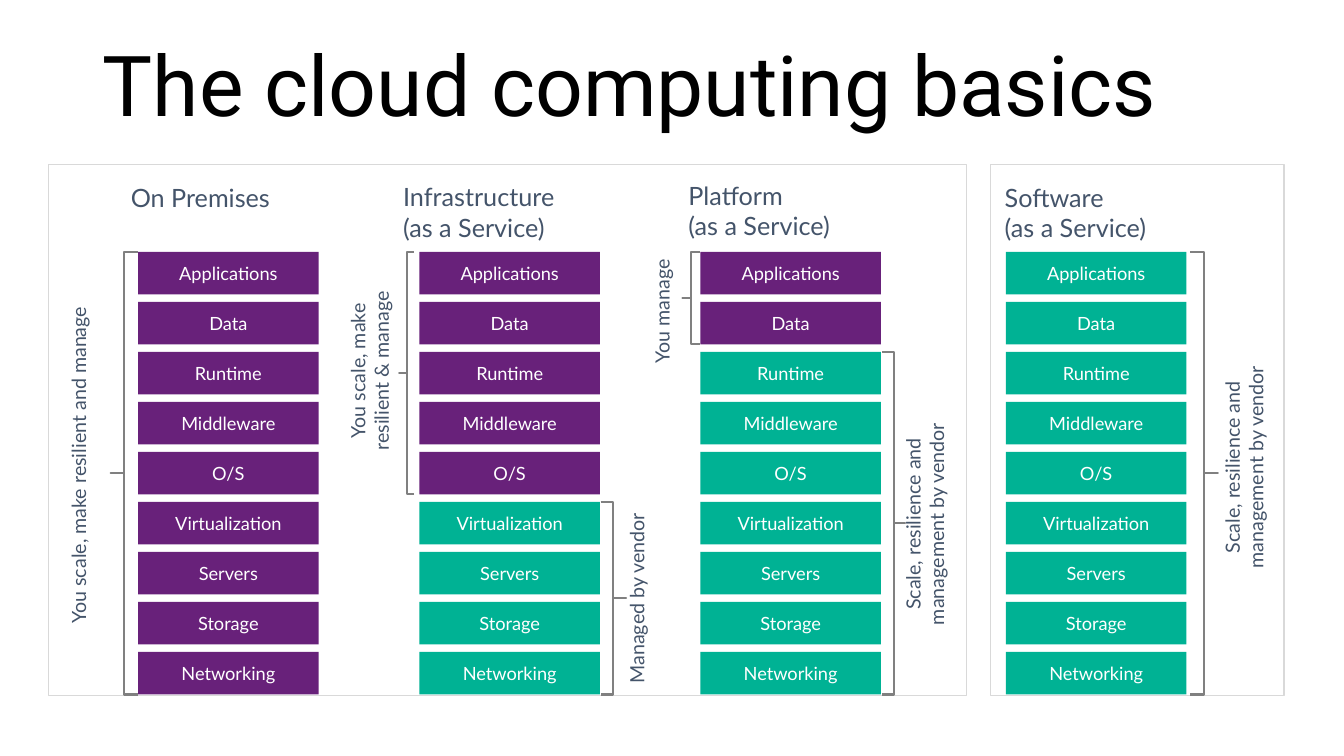
from dataclasses import dataclass

from pptx import Presentation
from pptx.dml.color import RGBColor
from pptx.enum.shapes import MSO_SHAPE as Preset
from pptx.enum.text import MSO_ANCHOR as Anchor, MSO_AUTO_SIZE as AutoSize, PP_ALIGN as Align
from pptx.util import Cm, Pt

PURPLE, GREEN, SLATE = "68217A", "00B294", "44546A"
PALE_GREY, BRACE_GREY, WHITE, BLACK = "D9D9D9", "808080", "FFFFFF", "000000"
LAYERS = ["Applications", "Data", "Runtime", "Middleware", "O/S",
          "Virtualization", "Servers", "Storage", "Networking"]
COLUMN_TOP = 6.35
BLOCK_WIDTH, BLOCK_HEIGHT, PITCH = 4.55, 1.07, 1.26
GAP = PITCH - BLOCK_HEIGHT
PANELS = [(1.22, 4.14, 23.14, 13.39), (24.97, 4.14, 7.39, 13.39)]


@dataclass
class Span:
    first: int
    count: int
    brace_offset: float
    brace_width: float
    label_offset: float
    label_shift: float
    label_length: float
    lines: list
    on_right: bool = False


@dataclass
class Column:
    left: float
    heading: list
    heading_offset: float
    heading_rise: float
    heading_width: float
    managed: int
    spans: list
    heading_align: Align = Align.LEFT


VENDOR_LINES = ["Scale, resilience and", "management by vendor"]
COLUMNS = [
    Column(3.48, ["On Premises"], -1.02, 1.75, 5.18, 9, [
        Span(0, 9, -0.69, 0.69, -1.93, -0.2, 8.43,
             ["You scale, make resilient and manage"]),
    ], Align.CENTER),
    Column(10.57, ["Infrastructure", "(as a Service)"], -0.41, 1.77, 7.21, 5, [
        Span(0, 5, -0.51, 0.38, -1.98, -0.06, 4.42,
             ["You scale, make", "resilient & manage"]),
        Span(5, 4, 4.57, 0.64, 5.05, 0, 4.7, ["Managed by vendor"], True),
    ]),
    Column(17.65, ["Platform", "(as a Service)"], -0.3, 1.8, 7.16, 2, [
        Span(0, 2, -0.45, 0.43, -1.39, 0.33, 2.97, ["You manage"]),
        Span(2, 7, 4.58, 0.58, 4.93, 0.02, 5.51, VENDOR_LINES, True),
    ]),
    Column(25.35, ["Software", "(as a Service)"], -0.03, 1.75, 6.76, 0, [
        Span(0, 9, 4.65, 0.69, 5.28, -0.15, 5.51, VENDOR_LINES, True),
    ]),
]


def color(hex_code):
    return RGBColor.from_string(hex_code)


def write_lines(frame, lines, size, hex_code, align, font="Lato"):
    for index, line in enumerate(lines):
        paragraph = frame.add_paragraph() if index else frame.paragraphs[0]
        paragraph.alignment = align
        run = paragraph.add_run()
        run.text = line
        run.font.name = font
        run.font.size = Pt(size)
        run.font.color.rgb = color(hex_code)


def add_preset(slide, preset, box, fill=None, line=None, line_width=1):
    shape = slide.shapes.add_shape(preset, *map(Cm, box))
    shape.shadow.inherit = False
    if fill:
        shape.fill.solid()
        shape.fill.fore_color.rgb = color(fill)
    else:
        shape.fill.background()
    if line:
        shape.line.color.rgb = color(line)
        shape.line.width = Pt(line_width)
    else:
        shape.line.fill.background()
    return shape


def add_title(slide, box, text):
    title = slide.shapes.title
    title.left, title.top, title.width, title.height = map(Cm, box)
    frame = title.text_frame
    frame.auto_size = AutoSize.NONE
    frame.vertical_anchor = Anchor.BOTTOM
    write_lines(frame, [text], 60, BLACK, Align.LEFT, "Roboto")
    frame.paragraphs[0].line_spacing = 0.9


def add_heading(slide, box, lines, align):
    frame = slide.shapes.add_textbox(*map(Cm, box)).text_frame
    frame.word_wrap = True
    frame.margin_left = frame.margin_right = frame.margin_top = frame.margin_bottom = 0
    write_lines(frame, lines, 18, SLATE, align)


def add_block(slide, box, text, fill):
    frame = add_preset(slide, Preset.RECTANGLE, box, fill).text_frame
    frame.vertical_anchor = Anchor.MIDDLE
    frame.margin_left = frame.margin_right = 0
    write_lines(frame, [text], 13, WHITE, Align.CENTER)


def add_vertical_label(slide, box, lines):
    label = slide.shapes.add_textbox(*map(Cm, box))
    frame = label.text_frame
    frame.word_wrap = False
    frame.auto_size = AutoSize.SHAPE_TO_FIT_TEXT
    label.element.txBody.bodyPr.set("vert", "vert270")
    write_lines(frame, lines, 14, SLATE, Align.CENTER)


def add_span(slide, left, top, span):
    brace_top = top + span.first * PITCH
    brace_height = span.count * PITCH - GAP
    preset = Preset.RIGHT_BRACE if span.on_right else Preset.LEFT_BRACE
    brace = add_preset(slide, preset,
                       (left + span.brace_offset, brace_top, span.brace_width, brace_height),
                       line=BRACE_GREY, line_width=1.5)
    brace.adjustments[0] = 0
    brace.adjustments[1] = 0.5
    label_top = brace_top + (brace_height - span.label_length) / 2 + span.label_shift
    label_width = 1.12 if len(span.lines) == 1 else 1.7
    add_vertical_label(slide, (left + span.label_offset, label_top,
                               label_width, span.label_length), span.lines)


def add_column(slide, left, top, column):
    add_heading(slide, (left + column.heading_offset, top - column.heading_rise,
                        column.heading_width, 1.78), column.heading, column.heading_align)
    for row, layer in enumerate(LAYERS):
        fill = PURPLE if row < column.managed else GREEN
        add_block(slide, (left, top + row * PITCH, BLOCK_WIDTH, BLOCK_HEIGHT), layer, fill)
    for span in column.spans:
        add_span(slide, left, top, span)


def main():
    presentation = Presentation()
    presentation.slide_width, presentation.slide_height = Cm(33.87), Cm(19.05)
    slide = presentation.slides.add_slide(presentation.slide_layouts[5])
    add_title(slide, (2.34, 0.23, 29.21, 3.28), "The cloud computing basics")
    for box in PANELS:
        add_preset(slide, Preset.RECTANGLE, box, line=PALE_GREY)
    for column in COLUMNS:
        add_column(slide, column.left, COLUMN_TOP, column)
    presentation.save("out.pptx")


if __name__ == "__main__":
    main()
